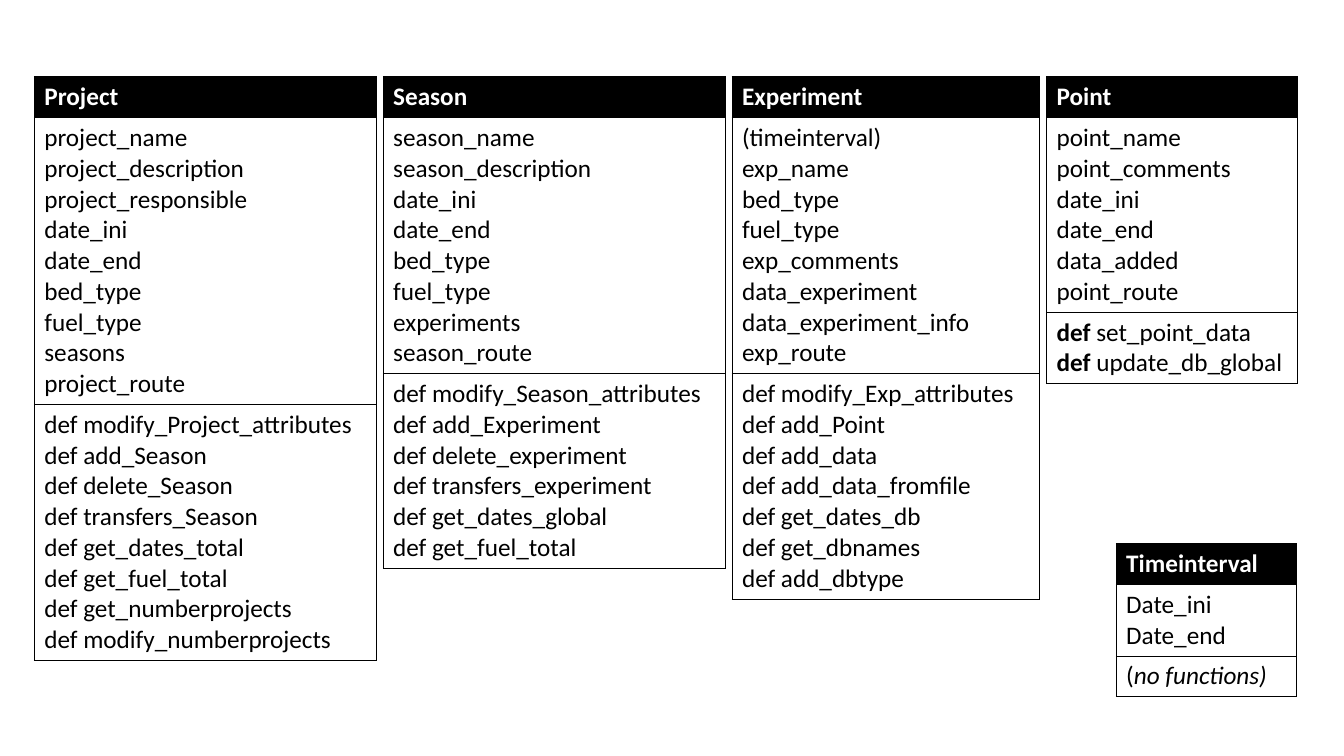
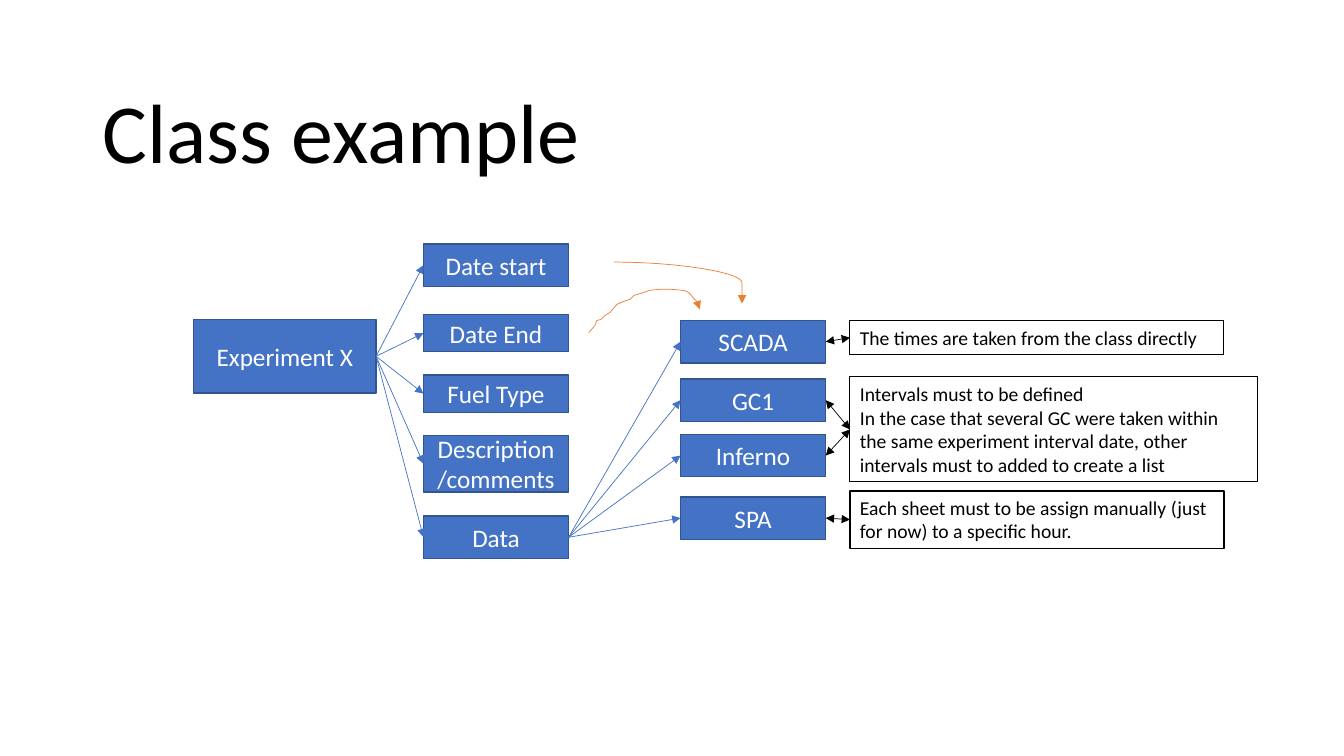
from lxml import etree
from pptx import Presentation
from pptx import util as u
from pptx.dml import color
from pptx.enum import shapes, text
from pptx.oxml import ns

FONT = "Calibri"
BLACK, WHITE = "000000", "FFFFFF"
BLUE, NAVY, ORANGE = "4472C4", "325491", "ED7D31"
RIGHT, LEFT = 3, 1
ROW, PAD, TOP = 0.41, 0.1, 0.76

CLASSES = [
    ("Project", 3.39,
     ["project_name", "project_description", "project_responsible", "date_ini",
      "date_end", "bed_type", "fuel_type", "seasons\nproject_route"],
     ["def modify_Project_attributes", "def add_Season", "def delete_Season",
      "def transfers_Season", "def get_dates_total", "def get_fuel_total",
      "def get_numberprojects", "def modify_numberprojects"]),
    ("Season", 3.39,
     ["season_name", "season_description", "date_ini", "date_end", "bed_type",
      "fuel_type", "experiments\nseason_route"],
     ["def modify_Season_attributes", "def add_Experiment",
      "def delete_experiment", "def transfers_experiment",
      "def get_dates_global", "def get_fuel_total"]),
    ("Experiment", 3.05,
     ["(timeinterval)", "exp_name", "bed_type", "fuel_type", "exp_comments",
      "data_experiment", "data_experiment_info\nexp_route"],
     ["def modify_Exp_attributes", "def add_Point", "def add_data",
      "def add_data_fromfile", "def get_dates_db", "def get_dbnames",
      "def add_dbtype"]),
    ("Point", 2.49,
     ["point_name", "point_comments", "date_ini", "date_end", "data_added",
      "point_route"],
     [[("def ", "b"), ("set_point_data", "")],
      [("def ", "b"), ("update_db_global", "")]]),
]
TIMES = ("Timeinterval", 1.79, ["Date_ini", "Date_end"],
         [[("(", ""), ("no functions)", "i")]])

FIELDS = [("Date start", 2.42, 0.42), ("Date End", 3.12, 0.37),
          ("Fuel Type", 3.72, 0.37), ("Description/comments", 4.32, 0.56),
          ("Data", 5.12, 0.42)]
SOURCES = [("SCADA", 3.18), ("GC1", 3.76), ("Inferno", 4.31), ("SPA", 4.93)]
NOTES = [
    (["The times are taken from the class directly"], 3.18, 3.71, 0.34, 0.75),
    (["Intervals must to be defined",
      "In the case that several GC were taken within the same experiment "
      "interval date, other intervals must to added to create a list"],
     3.74, 4.04, 1.04, 0.75),
    (["Each sheet must to be assign manually (just for now) to a specific "
      "hour."], 4.87, 3.71, 0.57, 1),
]
LINKS = [(0, 0), (1, 1), (1, 2), (2, 3)]
SWIRL = [(5.84, 3.3), (5.9, 3.23), (5.92, 3.18), (5.96, 3.17), (6, 3.13),
         (6.05, 3.1), (6.12, 3.02), (6.16, 3), (6.25, 2.97), (6.29, 2.93),
         (6.36, 2.91), (6.45, 2.88), (6.55, 2.87), (6.66, 2.87), (6.76, 2.88),
         (6.81, 2.89), (6.84, 2.91), (6.87, 2.95), (6.93, 3.01), (6.94, 3.07)]


def rgb(code):
    return color.RGBColor.from_string(code)


def place(*sizes):
    return [u.Inches(size) for size in sizes]


def write(frame, lines, size, ink, bold=False, align=None):
    frame.word_wrap = True
    for num, line in enumerate(lines):
        para = frame.add_paragraph() if num else frame.paragraphs[0]
        para.alignment = align
        for words, style in [(line, "")] if isinstance(line, str) else line:
            for part, piece in enumerate(words.split("\n")):
                if part:
                    para.add_line_break()
                run = para.add_run()
                run.text = piece
                font = run.font
                font.name, font.size = FONT, u.Pt(size)
                font.color.rgb = rgb(ink)
                font.bold = bold or "b" in style
                font.italic = "i" in style


def border(cell):
    props = cell._tc.get_or_add_tcPr()
    for num, side in enumerate("LRTB"):
        line = etree.Element(ns.qn(f"a:ln{side}"), w=str(u.Pt(0.5)))
        fill = etree.SubElement(line, ns.qn("a:solidFill"))
        etree.SubElement(fill, ns.qn("a:srgbClr"), val=BLACK)
        props.insert(num, line)


def card(slide, left, top, data):
    name, width, attrs, funcs = data
    grid = slide.shapes.add_table(3, 1, *place(left, top, width, 3 * ROW)).table
    grid.first_row = grid.horz_banding = False
    for num, lines in enumerate([[name], attrs, funcs]):
        head = num == 0
        count = sum(1 + (isinstance(line, str) and line.count("\n"))
                    for line in lines)
        grid.rows[num].height = u.Inches(PAD + count * (ROW - PAD) * 0.98)
        cell = grid.cell(num, 0)
        if head:
            cell.fill.solid()
            cell.fill.fore_color.rgb = rgb(BLACK)
        else:
            cell.fill.background()
        border(cell)
        write(cell.text_frame, lines, 18, WHITE if head else BLACK, head)


def box(slide, area, fill, edge, weight):
    shape = slide.shapes.add_shape(shapes.MSO_SHAPE.RECTANGLE, *place(*area))
    shape.shadow.inherit = False
    shape.fill.solid()
    shape.fill.fore_color.rgb = rgb(fill)
    shape.line.color.rgb = rgb(edge)
    shape.line.width = u.Pt(weight)
    return shape


def node(slide, name, *area):
    shape = box(slide, area, BLUE, NAVY, 1)
    shape.text_frame.vertical_anchor = text.MSO_ANCHOR.MIDDLE
    write(shape.text_frame, [name], 18, WHITE, align=text.PP_ALIGN.CENTER)
    return shape


def note(slide, lines, top, width, height, weight):
    shape = box(slide, (8.43, top, width, height), WHITE, BLACK, weight)
    shape.text_frame.vertical_anchor = text.MSO_ANCHOR.TOP
    write(shape.text_frame, lines, 14, BLACK, align=text.PP_ALIGN.LEFT)
    return shape


def tip(shape, ink, *ends):
    shape.line.color.rgb = rgb(ink)
    shape.line.width = u.Pt(0.5)
    line = shape.line._get_or_add_ln()
    for end in ends:
        etree.SubElement(line, ns.qn(f"a:{end}End"), type="triangle")


def wire(slide, kind, ends, ink, *tips):
    line = slide.shapes.add_connector(kind, *place(*ends))
    tip(line, ink, *tips)
    etree.SubElement(line._element.spPr, ns.qn("a:effectLst"))
    return line


def link(slide, start, out, stop, into, ink, *tips):
    line = wire(slide, shapes.MSO_CONNECTOR.STRAIGHT, (0, 0, 0, 0), ink, *tips)
    line.begin_connect(start, out)
    line.end_connect(stop, into)


def bend(slide, ends):
    line = wire(slide, shapes.MSO_CONNECTOR.CURVE, ends, ORANGE, "tail")
    geom = line._element.spPr.find(ns.qn("a:prstGeom"))
    guides = geom.find(ns.qn("a:avLst"))
    if guides is None:
        guides = etree.SubElement(geom, ns.qn("a:avLst"))
    etree.SubElement(guides, ns.qn("a:gd"), name="adj1", fmla="val 100000")


def swirl(slide):
    points = [place(*point) for point in SWIRL]
    pen = slide.shapes.build_freeform(*points[0])
    pen.add_line_segments(points[1:], close=False)
    shape = pen.convert_to_shape()
    shape.shadow.inherit = False
    shape.fill.background()
    tip(shape, ORANGE, "tail")


def title(slide, words):
    frame = slide.shapes.add_textbox(*place(0.92, 0.4, 11.5, 1.45)).text_frame
    frame.vertical_anchor = text.MSO_ANCHOR.BOTTOM
    write(frame, [words], 60, BLACK)
    frame.paragraphs[0].line_spacing = 0.9


def tables(slide):
    left = 0.34
    for data in CLASSES:
        card(slide, left, TOP, data)
        left += data[1] + 0.07
    card(slide, 11.07, 5.39, TIMES)


def diagram(slide):
    title(slide, "Class example")
    root = node(slide, "Experiment X", 1.92, 3.17, 1.81, 0.73)
    fields = [node(slide, name, 4.2, top, 1.44, high)
              for name, top, high in FIELDS]
    feeds = [node(slide, name, 6.75, top, 1.44, 0.42) for name, top in SOURCES]
    notes = [note(slide, *data) for data in NOTES]
    for start, stops in [(root, fields), (fields[-1], feeds)]:
        for stop in stops:
            link(slide, start, RIGHT, stop, LEFT, BLUE, "tail")
    for which, feed in LINKS:
        link(slide, notes[which], LEFT, feeds[feed], RIGHT, BLACK,
             "head", "tail")
    bend(slide, (6.09, 2.6, 7.36, 3.01))
    swirl(slide)


def main():
    deck = Presentation()
    deck.slide_width, deck.slide_height = place(13.33, 7.5)
    for draw in (tables, diagram):
        draw(deck.slides.add_slide(deck.slide_layouts[6]))
    deck.save("out.pptx")


if __name__ == "__main__":
    main()
